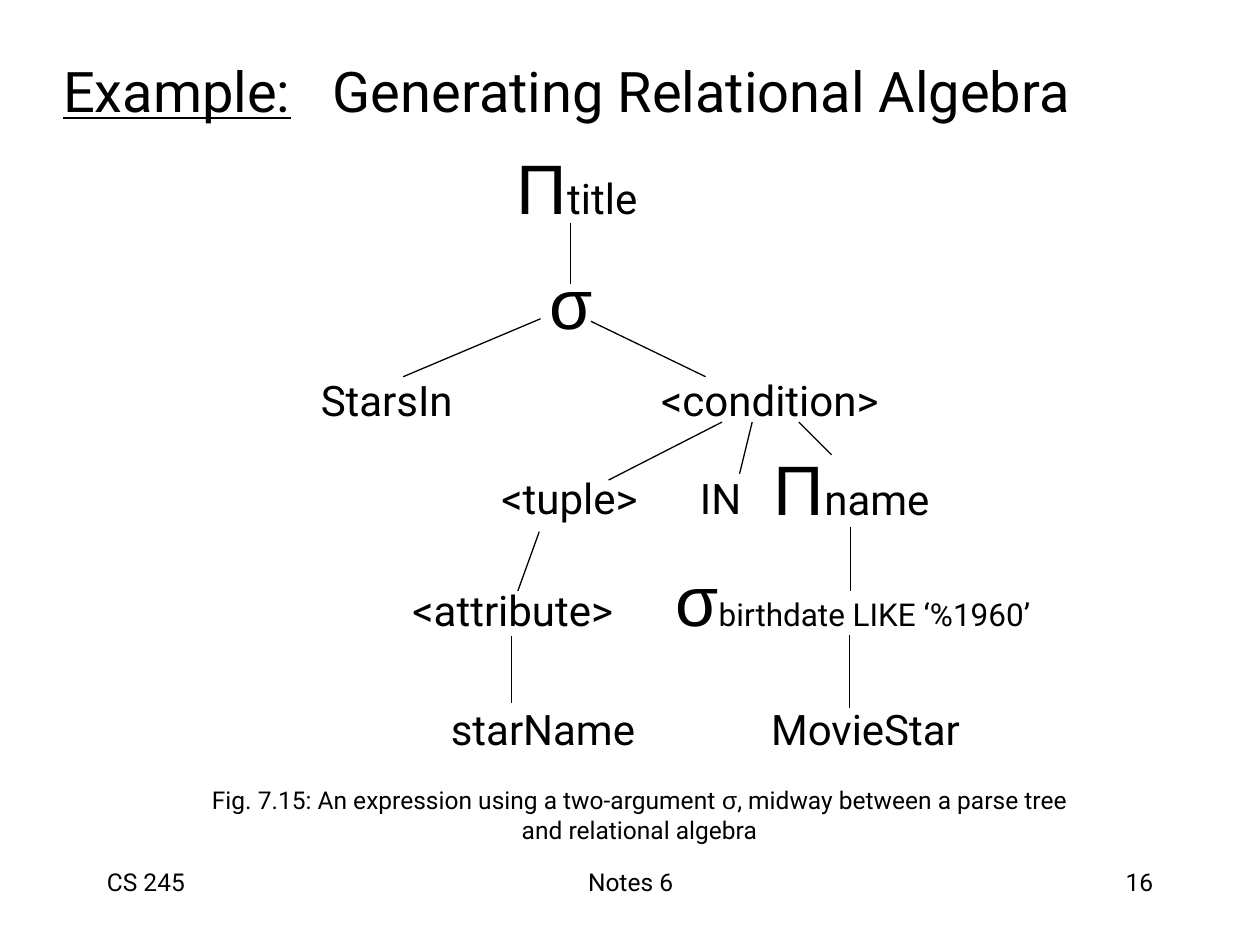
from lxml import etree
from pptx import Presentation
from pptx.dml.color import RGBColor
from pptx.enum import shapes, text
from pptx.oxml import ns
from pptx.util import Inches, Pt

BLACK = RGBColor(0, 0, 0)
BODY_FONT = "Roboto"
SYMBOL_FONT = "Arial"
LEFT, CENTER, RIGHT = text.PP_ALIGN.LEFT, text.PP_ALIGN.CENTER, text.PP_ALIGN.RIGHT
MIDDLE, TOP = text.MSO_ANCHOR.MIDDLE, text.MSO_ANCHOR.TOP

NODES = [
    (4.58, 1.48, 1.23, [("Π", 40), ("title", 24)]),
    (4.53, 2.39, 0.6, [("σ", 40)]),
    (3.07, 3.17, 1.3, [("StarsIn", 24)]),
    (6.11, 3.17, 2, [("<condition>", 24)]),
    (4.52, 3.95, 1.4, [("<tuple>", 24)]),
    (5.72, 3.95, 0.6, [("IN", 24)]),
    (6.76, 3.87, 1.5, [("Π", 40), ("name", 24)]),
    (4.07, 4.84, 1.9, [("<attribute>", 24)]),
    (6.77, 4.75, 3.1, [("σ", 40), ("birthdate LIKE ‘%1960’", 18)]),
    (4.31, 5.78, 1.8, [("starName", 24)]),
    (6.87, 5.78, 1.8, [("MovieStar", 24)]),
]
BRANCHES = [
    (4.53, 1.77, 4.53, 2.25),
    (4.29, 2.53, 3.2, 2.99),
    (4.69, 2.55, 5.6, 2.99),
    (5.73, 3.35, 4.83, 3.81),
    (5.97, 3.35, 5.87, 3.76),
    (6.34, 3.35, 6.6, 3.61),
    (4.28, 4.22, 4.11, 4.69),
    (4.06, 5.05, 4.06, 5.58),
    (6.75, 4.18, 6.75, 4.69),
    (6.74, 5.04, 6.74, 5.62),
]
CAPTION = [
    ("Fig. 7.15: An expression using a two-argument ", 14),
    ("σ", 14),
    (", midway between a parse tree and relational algebra", 14),
]
FOOTERS = [
    (0.75, 2.08, "CS 245", LEFT),
    (3.42, 3.17, "Notes 6", CENTER),
    (7.17, 2.08, "16", RIGHT),
]


def add_run(p, content, size):
    r = p.add_run()
    r.text = content
    r.font.name = SYMBOL_FONT if content in ("Π", "σ") else BODY_FONT
    r.font.size = Pt(size)
    r.font.color.rgb = BLACK
    return r


def add_title(s):
    sp = s.shapes.title
    sp.left, sp.top = Inches(0.4), Inches(0.23)
    sp.width, sp.height = Inches(9.16), Inches(0.97)
    tf = sp.text_frame
    tf.auto_size = text.MSO_AUTO_SIZE.NONE
    tf.vertical_anchor = MIDDLE
    p = tf.paragraphs[0]
    p.alignment = LEFT
    tabs = etree.SubElement(p._p.get_or_add_pPr(), ns.qn("a:tabLst"))
    etree.SubElement(tabs, ns.qn("a:tab"), pos=str(Inches(2.14)), algn="l")
    add_run(p, "Example:", 32).font.underline = True
    add_run(p, "\tGenerating Relational Algebra", 32).font.underline = False


def add_text(s, left, top, width, height, runs, align=CENTER, anchor=MIDDLE, wrap=True):
    sp = s.shapes.add_textbox(Inches(left), Inches(top), Inches(width), Inches(height))
    tf = sp.text_frame
    tf.word_wrap = wrap
    tf.vertical_anchor = anchor
    p = tf.paragraphs[0]
    p.alignment = align
    for content, size in runs:
        add_run(p, content, size)


def add_node(s, x, y, width, runs):
    height = 0.77 if runs[0][1] == 40 else 0.5
    add_text(s, x - width / 2, y - height / 2, width, height, runs, wrap=False)


def add_branch(s, x1, y1, x2, y2):
    line = s.shapes.add_connector(
        shapes.MSO_CONNECTOR.STRAIGHT, Inches(x1), Inches(y1), Inches(x2), Inches(y2))
    line.line.color.rgb = BLACK
    line.line.width = Pt(0.75)
    etree.SubElement(line._element.spPr, ns.qn("a:effectLst"))


def main():
    prs = Presentation()
    prs.slide_width, prs.slide_height = Inches(10), Inches(7.5)
    s = prs.slides.add_slide(prs.slide_layouts[5])
    add_title(s)
    for node in NODES:
        add_node(s, *node)
    for branch in BRANCHES:
        add_branch(s, *branch)
    add_text(s, 1.47, 6.18, 7.21, 0.57, CAPTION)
    for left, width, label, align in FOOTERS:
        add_text(s, left, 6.83, width, 0.5, [(label, 14)], align, TOP)
    prs.save("out.pptx")


if __name__ == "__main__":
    main()
